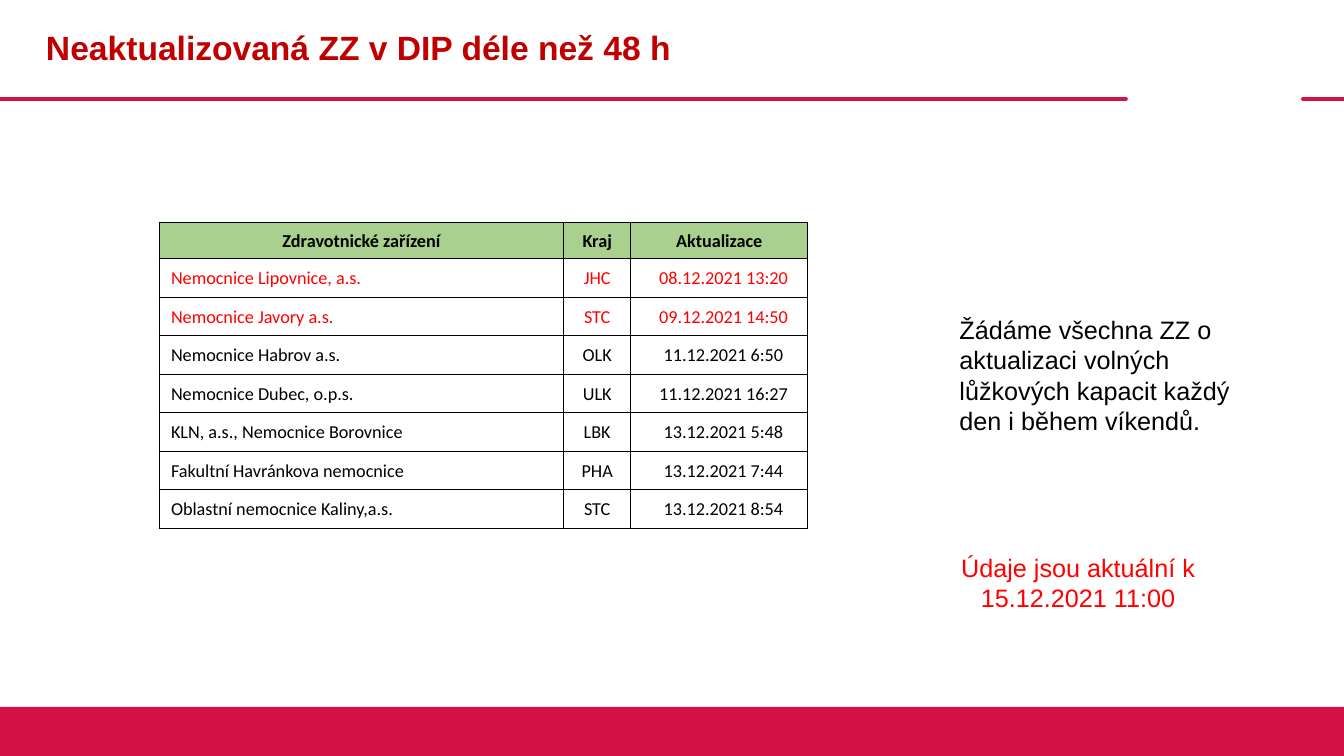
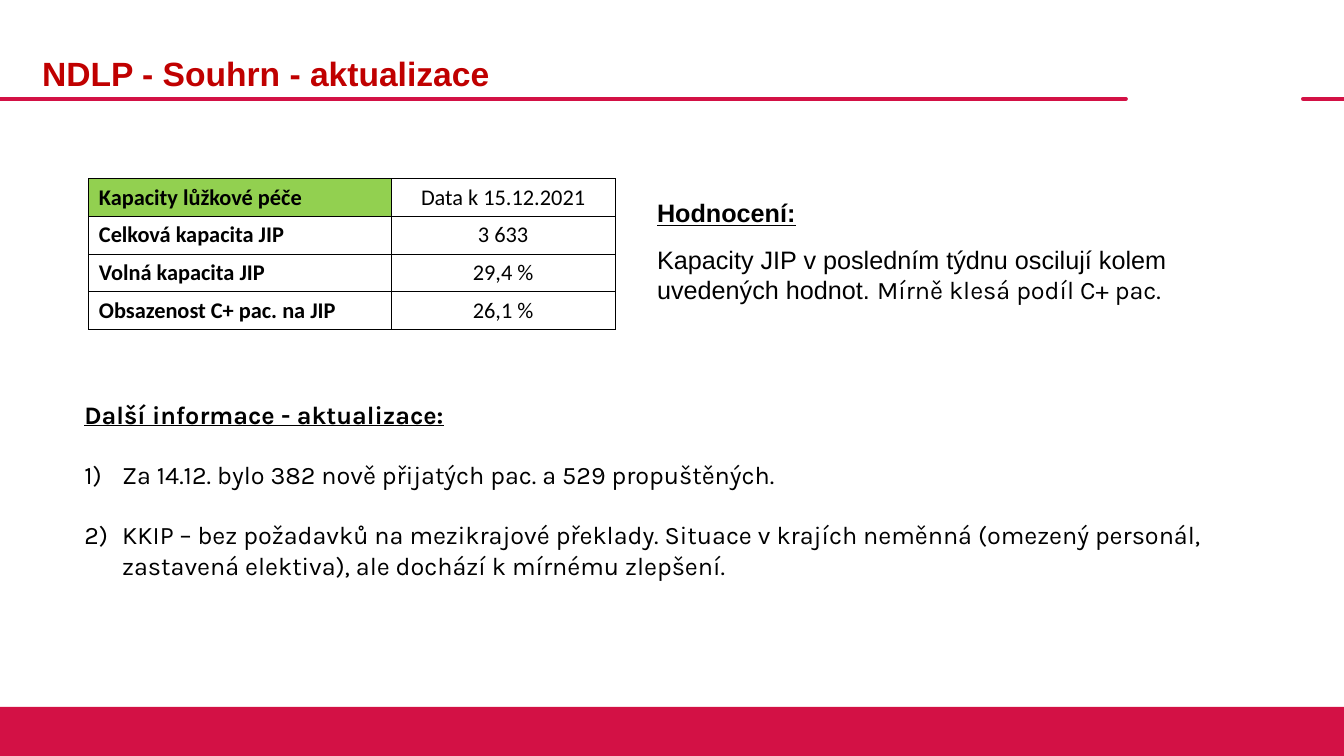
from lxml import etree
from pptx import Presentation
from pptx.dml.color import RGBColor
from pptx.enum.shapes import MSO_CONNECTOR, MSO_SHAPE
from pptx.enum.text import MSO_ANCHOR, PP_ALIGN
from pptx.oxml.ns import qn
from pptx.util import Cm, Pt

STRAIGHT = MSO_CONNECTOR.STRAIGHT
RECTANGLE = MSO_SHAPE.RECTANGLE
MIDDLE = MSO_ANCHOR.MIDDLE
LEFT, CENTER = PP_ALIGN.LEFT, PP_ALIGN.CENTER

CRIMSON = RGBColor(0xD3, 0x11, 0x45)
TITLE_RED = RGBColor(0xC0, 0x00, 0x00)
ALERT_RED = RGBColor(0xFF, 0x00, 0x00)
BLACK = RGBColor(0x00, 0x00, 0x00)
WHITE = RGBColor(0xFF, 0xFF, 0xFF)
HEADER_GREEN = RGBColor(0xA9, 0xD0, 0x8E)
LABEL_GREEN = RGBColor(0x92, 0xD0, 0x50)

PAGE_WIDTH, PAGE_HEIGHT = 33.87, 19.05
RULE_TOP = 2.49
BAND_TOP = 17.81


def style(paragraph, size, name, color=BLACK, bold=False, underline=False, align=LEFT):
    paragraph.alignment = align
    font = paragraph.font
    font.size = Pt(size)
    font.name = name
    font.bold = bold
    font.underline = underline
    font.color.rgb = color


def add_box(page, left, top, width, height, *texts):
    box = page.shapes.add_textbox(Cm(left), Cm(top), Cm(width), Cm(height))
    frame = box.text_frame
    frame.word_wrap = True
    frame.text = "\n".join(texts)
    return frame


deck = Presentation()
deck.slide_width, deck.slide_height = Cm(PAGE_WIDTH), Cm(PAGE_HEIGHT)

pages = []
for text, left, top in [
    ("Neaktualizovaná ZZ v DIP déle než 48 h", 0.91, 0),
    ("NDLP - Souhrn - aktualizace", 0.81, 0.66),
]:
    page = deck.slides.add_slide(deck.slide_layouts[6])
    pages.append(page)
    for start, end in [(0, 28.37), (32.84, PAGE_WIDTH)]:
        rule = page.shapes.add_connector(
            STRAIGHT, Cm(start), Cm(RULE_TOP), Cm(end), Cm(RULE_TOP))
        rule.line.color.rgb = CRIMSON
        rule.line.width = Pt(3)
        properties = rule._element.spPr
        properties.get_or_add_ln().set("cap", "rnd")
        etree.SubElement(properties, qn("a:effectLst"))
    band = page.shapes.add_shape(
        RECTANGLE, 0, Cm(BAND_TOP), Cm(PAGE_WIDTH), Cm(PAGE_HEIGHT - BAND_TOP))
    band.shadow.inherit = False
    band.fill.solid()
    band.fill.fore_color.rgb = CRIMSON
    band.line.fill.background()
    title = add_box(page, left, top, 27.46, 2.49, text)
    title.vertical_anchor = MIDDLE
    title.paragraphs[0].line_spacing = 0.9
    style(title.paragraphs[0], 24, "Arial", TITLE_RED, bold=True)

outdated_page, summary_page = pages

facilities = [
    ("Zdravotnické zařízení", "Kraj", "Aktualizace"),
    ("Nemocnice Lipovnice, a.s.", "JHC", "08.12.2021 13:20"),
    ("Nemocnice Javory a.s.", "STC", "09.12.2021 14:50"),
    ("Nemocnice Habrov a.s.", "OLK", "11.12.2021 6:50"),
    ("Nemocnice Dubec, o.p.s.", "ULK", "11.12.2021 16:27"),
    ("KLN, a.s., Nemocnice Borovnice", "LBK", "13.12.2021 5:48"),
    ("Fakultní Havránkova nemocnice", "PHA", "13.12.2021 7:44"),
    ("Oblastní nemocnice Kaliny,a.s.", "STC", "13.12.2021 8:54"),
]
capacities = [
    ("Kapacity lůžkové péče", "Data k 15.12.2021"),
    ("Celková kapacita JIP", "3 633"),
    ("Volná kapacita JIP", "29,4 %"),
    ("Obsazenost C+ pac. na JIP", "26,1 %"),
]

grids = []
for page, records, left, top, widths, heights in [
    (outdated_page, facilities, 4.01, 5.61, [10.19, 1.7, 4.45], [0.91] + [0.97] * 7),
    (summary_page, capacities, 2.24, 4.5, [7.62, 5.64], [0.95] * 4),
]:
    grid = page.shapes.add_table(
        len(records), len(widths), Cm(left), Cm(top), Cm(sum(widths)), Cm(sum(heights))).table
    grids.append(grid)
    grid.first_row = grid.horz_banding = False
    for column, width in zip(grid.columns, widths):
        column.width = Cm(width)
    for row, height, record in zip(grid.rows, heights, records):
        row.height = Cm(height)
        for cell, text in zip(row.cells, record):
            cell.text = text
            cell.vertical_anchor = MIDDLE
            cell.fill.solid()
            cell.fill.fore_color.rgb = WHITE
            for position, side in enumerate(["lnL", "lnR", "lnT", "lnB"]):
                border = etree.Element(qn("a:" + side), w=str(Pt(0.75)))
                fill = etree.SubElement(border, qn("a:solidFill"))
                etree.SubElement(fill, qn("a:srgbClr"), val=str(BLACK))
                cell._tc.get_or_add_tcPr().insert(position, border)

facility_grid, capacity_grid = grids

for row_index, row in enumerate(facility_grid.rows):
    header = row_index == 0
    color = ALERT_RED if row_index in (1, 2) else BLACK
    for cell, indent, align in zip(row.cells, [0.3, 0.02, 0.23], [LEFT, CENTER, CENTER]):
        cell.margin_left = Cm(0.02 if header else indent)
        cell.margin_right = cell.margin_top = Cm(0.02)
        cell.margin_bottom = 0
        if header:
            cell.fill.fore_color.rgb = HEADER_GREEN
        style(cell.text_frame.paragraphs[0], 13, "Calibri", color,
              bold=header, align=CENTER if header else align)

for row in capacity_grid.rows:
    label, value = row.cells
    style(label.text_frame.paragraphs[0], 16, "Calibri", bold=True)
    style(value.text_frame.paragraphs[0], 16, "Calibri", align=CENTER)
capacity_grid.cell(0, 0).fill.fore_color.rgb = LABEL_GREEN

validity = add_box(outdated_page, 23.93, 13.79, 6.48, 1.8,
                   "Údaje jsou aktuální k 15.12.2021 11:00")
style(validity.paragraphs[0], 18, "Arial", ALERT_RED, align=CENTER)

request = add_box(outdated_page, 23.93, 7.8, 7.59, 3.33,
                  "Žádáme všechna ZZ o aktualizaci volných lůžkových kapacit "
                  "každý den i během víkendů.")
style(request.paragraphs[0], 18, "Arial")

news = add_box(
    summary_page, 1.88, 9.93, 29.36, 4.88,
    "Další informace - aktualizace:",
    "Za 14.12. bylo 382 nově přijatých pac. a 529 propuštěných.",
    "KKIP – bez požadavků na mezikrajové překlady. Situace v krajích neměnná "
    "(omezený personál, zastavená elektiva), ale dochází k mírnému zlepšení.")
heading, *items = news.paragraphs
style(heading, 18, "Karla", bold=True, underline=True)
for para in items:
    properties = para._p.get_or_add_pPr()
    properties.set("marL", str(Cm(0.95)))
    properties.set("indent", str(Cm(-0.95)))
    etree.SubElement(properties, qn("a:buFont"), typeface="+mj-lt")
    etree.SubElement(properties, qn("a:buAutoNum"), type="arabicParenR")
    para.space_before = Pt(21.5)
    style(para, 18, "Karla")

rating = add_box(summary_page, 16.31, 4.85, 14.6, 3,
                 "Hodnocení:",
                 "Kapacity JIP v posledním týdnu oscilují kolem uvedených hodnot. ")
heading, verdict = rating.paragraphs
heading.space_after = Pt(12)
style(heading, 18, "Arial", bold=True, underline=True)
style(verdict, 18, "Arial")
span = verdict.add_run()
span.text = "Mírně klesá podíl C+ pac."
span.font.name = "Karla"

deck.save("out.pptx")
